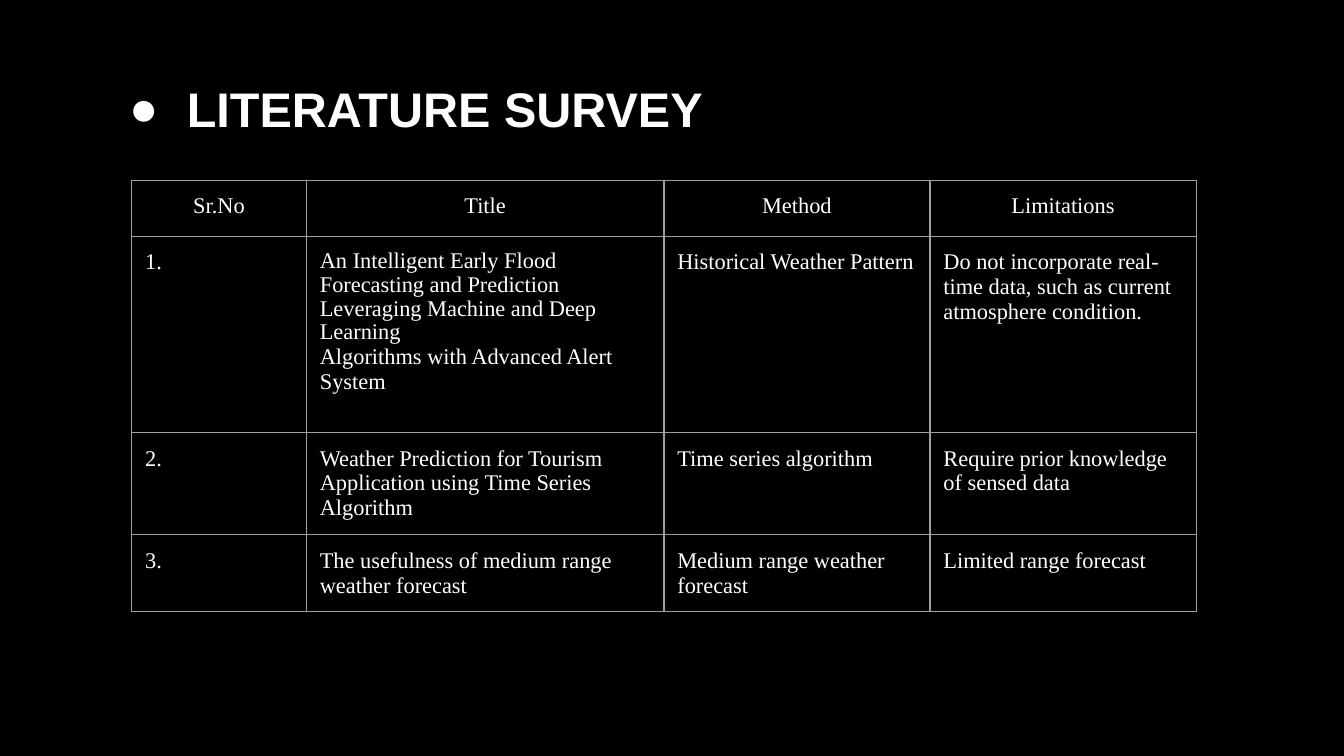
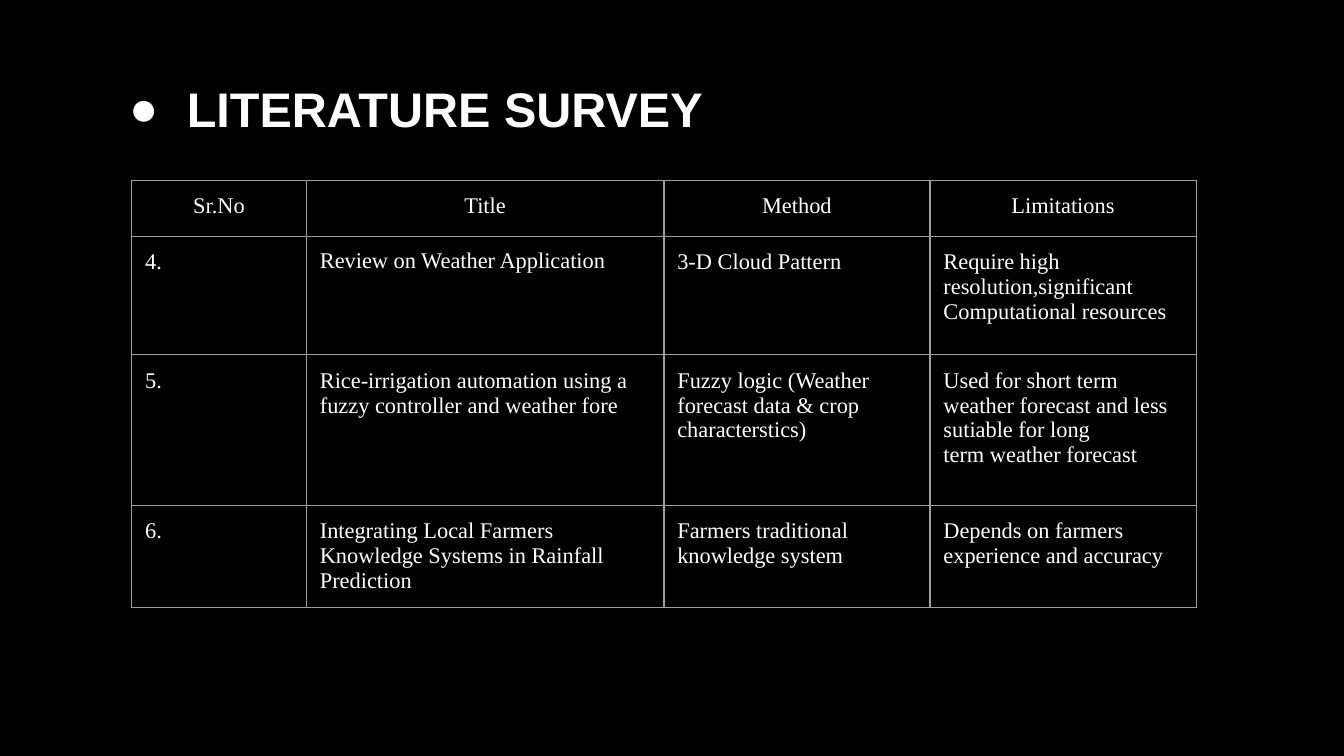
from pptx import Presentation
from pptx.dml.color import RGBColor
from pptx.enum.text import MSO_ANCHOR, PP_ALIGN
from pptx.oxml import parse_xml
from pptx.oxml.ns import nsdecls
from pptx.util import Inches, Pt

# Shared style
BLACK, WHITE, GRAY = "000000", "FFFFFF", "9E9E9E"
HEAD = ["Sr.No", "Title", "Method", "Limitations"]
COLS = [1.3, 2.66, 1.98, 1.98]
PAD = Inches(0.1)

# Table rows of each slide: height, then cell texts
FIRST = [
    (1.46, ["1.",
            "An Intelligent Early Flood Forecasting and Prediction "
            "Leveraging Machine and Deep Learning\n"
            "Algorithms with Advanced Alert System",
            "Historical Weather Pattern",
            "Do not incorporate real-time data, such as current "
            "atmosphere condition."]),
    (0.76, ["2.",
            "Weather Prediction for Tourism Application using Time Series "
            "Algorithm",
            "Time series algorithm",
            "Require prior knowledge of sensed data"]),
    (0.56, ["3.",
            "The usefulness of medium range weather forecast",
            "Medium range weather forecast",
            "Limited range forecast"]),
]
SECOND = [
    (0.88, ["4.",
            "Review on Weather Application",
            "3-D Cloud Pattern",
            "Require high resolution,significant\nComputational resources"]),
    (1.12, ["5.",
            "Rice-irrigation automation using a\n"
            "fuzzy controller and weather fore",
            "Fuzzy logic (Weather forecast data & crop characterstics)",
            "Used for short term weather forecast and less sutiable for long\n"
            "term weather forecast"]),
    (0.76, ["6.",
            "Integrating Local Farmers Knowledge Systems in Rainfall "
            "Prediction",
            "Farmers traditional knowledge system",
            "Depends on farmers experience and accuracy"]),
]


def color(code):
    return RGBColor.from_string(code)


def style(para, name, size, bold=False):
    font = para.font
    font.name, font.size, font.bold = name, Pt(size), bold
    font.color.rgb = color(WHITE)


def inset(box):
    box.margin_left = box.margin_right = PAD
    box.margin_top = box.margin_bottom = PAD
    box.vertical_anchor = MSO_ANCHOR.TOP


def bullet(para, left, hang):
    props = para._p.get_or_add_pPr()
    props.set("marL", str(Inches(left)))
    props.set("indent", str(Inches(hang)))
    for xml in (
        f'<a:buClr {nsdecls("a")}><a:srgbClr val="{WHITE}"/></a:buClr>',
        f'<a:buFont {nsdecls("a")} typeface="Arial"/>',
        f'<a:buChar {nsdecls("a")} char="●"/>',
    ):
        props.append(parse_xml(xml))


def add_title(slide, text):
    title = slide.shapes.title
    title.left, title.top = Inches(0.79), Inches(0.49)
    title.width, title.height = Inches(8.43), Inches(0.63)
    frame = title.text_frame
    frame.text = text
    inset(frame)
    para = frame.paragraphs[0]
    para.alignment = PP_ALIGN.LEFT
    bullet(para, 0.5, -0.43)
    style(para, "Arial", 26, True)


def border(cell):
    props = cell._tc.get_or_add_tcPr()
    for side in ("lnL", "lnR", "lnT", "lnB"):
        props.append(parse_xml(
            f'<a:{side} {nsdecls("a")} w="{Pt(0.75)}"><a:solidFill>'
            f'<a:srgbClr val="{GRAY}"/></a:solidFill></a:{side}>'))


def fill_cell(cell, text, align):
    cell.text = text
    inset(cell)
    border(cell)
    cell.fill.background()
    for para in cell.text_frame.paragraphs:
        para.alignment = align
        style(para, "Times New Roman", 12)


def add_survey(slide, body):
    rows = [(0.42, HEAD)] + body
    high = sum(row[0] for row in rows)
    table = slide.shapes.add_table(
        len(rows), len(COLS), Inches(0.98), Inches(1.34),
        Inches(sum(COLS)), Inches(high)).table
    table.first_row = table.horz_banding = False
    for col, width in zip(table.columns, COLS):
        col.width = Inches(width)
    for r, (height, texts) in enumerate(rows):
        table.rows[r].height = Inches(height)
        align = PP_ALIGN.LEFT if r else PP_ALIGN.CENTER
        for c, text in enumerate(texts):
            fill_cell(table.cell(r, c), text, align)
    # The first paper's title is set slightly tighter
    table.cell(1, 1).text_frame.paragraphs[0].line_spacing = 0.95


def main():
    deck = Presentation()
    # Widescreen, 16 to 9
    deck.slide_width = Inches(10)
    deck.slide_height = deck.slide_width * 9 // 16
    back = deck.slide_master.background.fill
    back.solid()
    back.fore_color.rgb = color(BLACK)
    for body in (FIRST, SECOND):
        slide = deck.slides.add_slide(deck.slide_layouts[5])
        add_title(slide, "LITERATURE SURVEY")
        add_survey(slide, body)
    deck.save("out.pptx")


if __name__ == "__main__":
    main()
